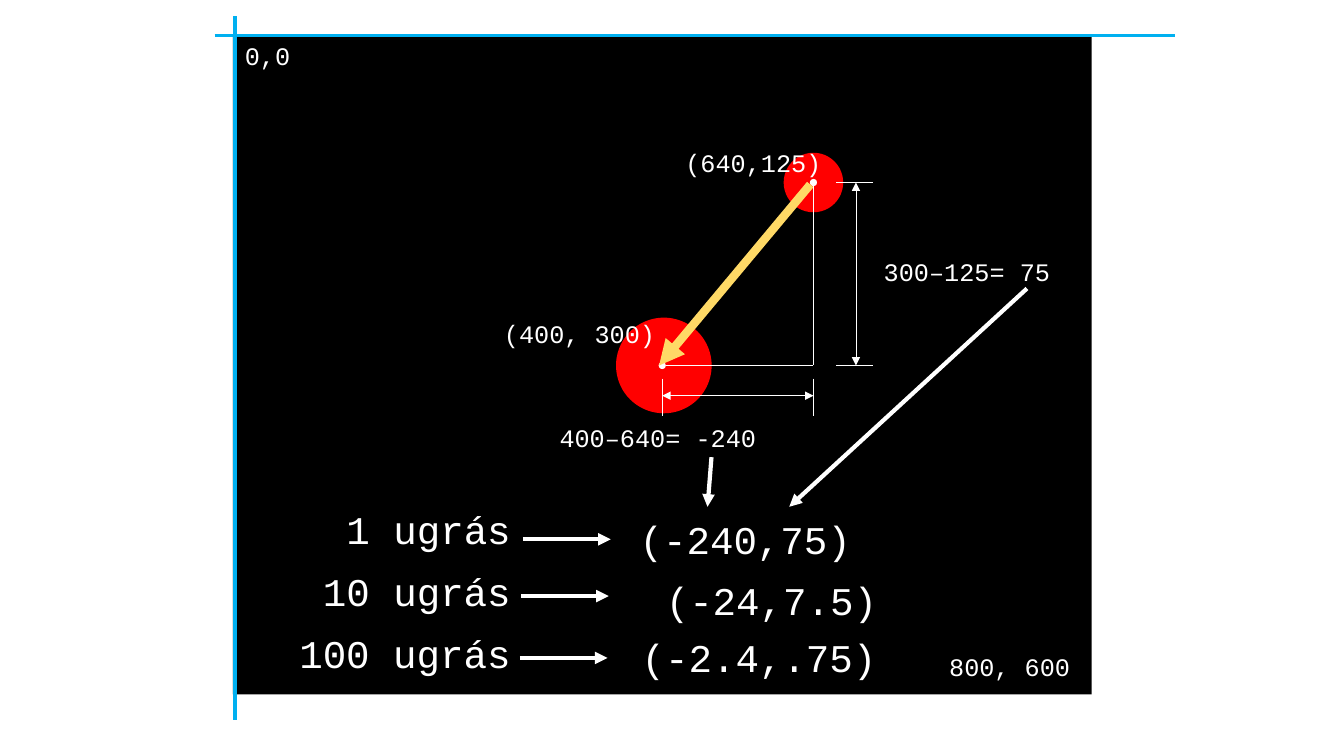
from lxml.etree import SubElement
from pptx import Presentation
from pptx.dml.color import RGBColor
from pptx.enum.shapes import MSO_CONNECTOR, MSO_SHAPE
from pptx.enum.text import MSO_AUTO_SIZE
from pptx.oxml.ns import qn
from pptx.util import Cm, Pt

BLACK = RGBColor(0x00, 0x00, 0x00)
WHITE = RGBColor(0xFF, 0xFF, 0xFF)
RED = RGBColor(0xFF, 0x00, 0x00)
BLUE = RGBColor(0x00, 0xB0, 0xF0)
YELLOW = RGBColor(0xFF, 0xD9, 0x66)
FONT = "Courier New"


def text_width(text, size):
    """Return the width in cm of a fixed-pitch text box with its insets."""
    return len(text) * 0.6 * size / 72 * 2.54 + 0.51


def add_text(shapes, x, y, text, size=18):
    """Add one unwrapped white line of text."""
    height = 1.02 if size == 18 else 1.45
    sp = shapes.add_textbox(Cm(x), Cm(y), Cm(text_width(text, size)), Cm(height))
    tf = sp.text_frame
    tf.word_wrap = False
    tf.auto_size = MSO_AUTO_SIZE.SHAPE_TO_FIT_TEXT
    p = tf.paragraphs[0]
    r = p.add_run()
    r.text = text
    r.font.name = FONT
    r.font.size = Pt(size)
    r.font.color.rgb = WHITE


def add_filled(shapes, kind, x, y, w, h, color):
    """Add a preset shape with a plain fill and no outline."""
    sp = shapes.add_shape(kind, Cm(x), Cm(y), Cm(w), Cm(h))
    sp.shadow.inherit = False
    sp.fill.solid()
    sp.fill.fore_color.rgb = color
    sp.line.fill.background()


def add_circle(shapes, cx, cy, d, color):
    """Add a circle around its centre."""
    add_filled(shapes, MSO_SHAPE.OVAL, cx - d / 2, cy - d / 2, d, d, color)


def add_line(shapes, x1, y1, x2, y2, color=WHITE, width=0.5, ends=()):
    """Add a straight line; ends names the ends that carry a triangle."""
    sp = shapes.add_connector(MSO_CONNECTOR.STRAIGHT, Cm(x1), Cm(y1), Cm(x2), Cm(y2))
    sp.line.color.rgb = color
    sp.line.width = Pt(width)
    ln = sp.line._get_or_add_ln()
    for end in ends:
        SubElement(ln, qn(f"a:{end}End"), type="triangle")
    SubElement(sp._element.spPr, qn("a:effectLst"))


def add_arrow(shapes, x1, y1, x2, y2, color=WHITE, width=3):
    """Add a thick arrow that points at its second end."""
    add_line(shapes, x1, y1, x2, y2, color, width, ("tail",))


def add_dimension(s, measure, ticks):
    """Add a grouped dimension: a double-headed line and its end ticks."""
    shapes = s.shapes.add_group_shape().shapes
    for tick in ticks:
        add_line(shapes, *tick)
    add_line(shapes, *measure, ends=("head", "tail"))


def add_screen(s, left, top, width, height):
    """Draw the game screen with its axes and corner coordinates."""
    add_filled(s.shapes, MSO_SHAPE.RECTANGLE, left, top, width, height, BLACK)
    add_line(s.shapes, left + 0.05, top - 0.5, left + 0.05, top + height + 0.64, BLUE, 3)
    add_line(s.shapes, left - 0.46, top - 0.02, left + width + 2.11, top - 0.02, BLUE, 2.25)
    add_text(s.shapes, left + 0.05, top - 0.02, "0,0")
    add_text(s.shapes, left + 17.8, top + 15.37, "800, 600")


def add_jump(s, left, top, width, height):
    """Draw the jump from the box's top right to its bottom left corner."""
    shapes, right, bottom = s.shapes, left + width, top + height
    add_circle(shapes, left + 0.04, bottom, 2.41, RED)
    add_circle(shapes, right, top, 1.5, RED)
    for cx, cy in ((left, bottom), (right, top)):
        add_circle(shapes, cx, cy, 0.18, WHITE)
    add_text(shapes, left + 0.33, top - 1.02, "(640,125)")
    add_arrow(shapes, right - 0.08, top + 0.05, left - 0.08, bottom, YELLOW, 6)
    add_line(shapes, left + 0.1, bottom, right, bottom)
    add_line(shapes, right, top - 0.08, right, bottom)
    add_dimension(s, (left, bottom + 0.76, right, bottom + 0.76),
                  [(x, bottom + 0.33, x, bottom + 1.27) for x in (left, right)])
    add_text(shapes, left - 2.84, bottom + 1.3, "400–640= -240")
    add_dimension(s, (right + 1.07, top, right + 1.07, bottom),
                  [(right + 1.5, y, right + 0.58, y) for y in (top, bottom)])
    add_text(shapes, right + 1.52, top + 1.73, "300–125= 75")
    add_text(shapes, left - 4.24, bottom - 1.32, "(400, 300)")
    add_arrow(shapes, left + 1.24, bottom + 2.31, left + 1.14, bottom + 3.56)
    add_arrow(shapes, right + 5.38, top + 2.67, right - 0.61, bottom + 3.56)


def add_steps(s, left, top, width, height):
    """List the step vector for each number of jumps, one row each."""
    # label, step, arrow x and y, step x and y within the row
    rows = (("1 ugrás", "(-240,75)", 5.97, 0.97, 8.66, 0.23),
            ("10 ugrás", "(-24,7.5)", 5.92, 0.84, 9.32, 0.23),
            ("100 ugrás", "(-2.4,.75)", 5.89, 0.84, 8.71, 0.1))
    label_right = left + 0.39 * width
    for i, (label, step, arrow_x, arrow_y, step_x, step_y) in enumerate(rows):
        y = top + i * height / len(rows)
        add_text(s.shapes, label_right - text_width(label, 28), y, label, 28)
        add_arrow(s.shapes, left + arrow_x, y + arrow_y, left + arrow_x + 2.21, y + arrow_y)
        add_text(s.shapes, left + step_x, y + step_y, step, 28)


prs = Presentation()
prs.slide_width, prs.slide_height = Cm(33.87), Cm(19.05)
s = prs.slides.add_slide(prs.slide_layouts[6])
add_screen(s, 5.87, 0.91, 21.64, 16.59)
add_jump(s, 16.69, 4.6, 3.81, 4.61)
add_steps(s, 7.21, 12.62, 15.2, 4.68)
prs.save("out.pptx")
